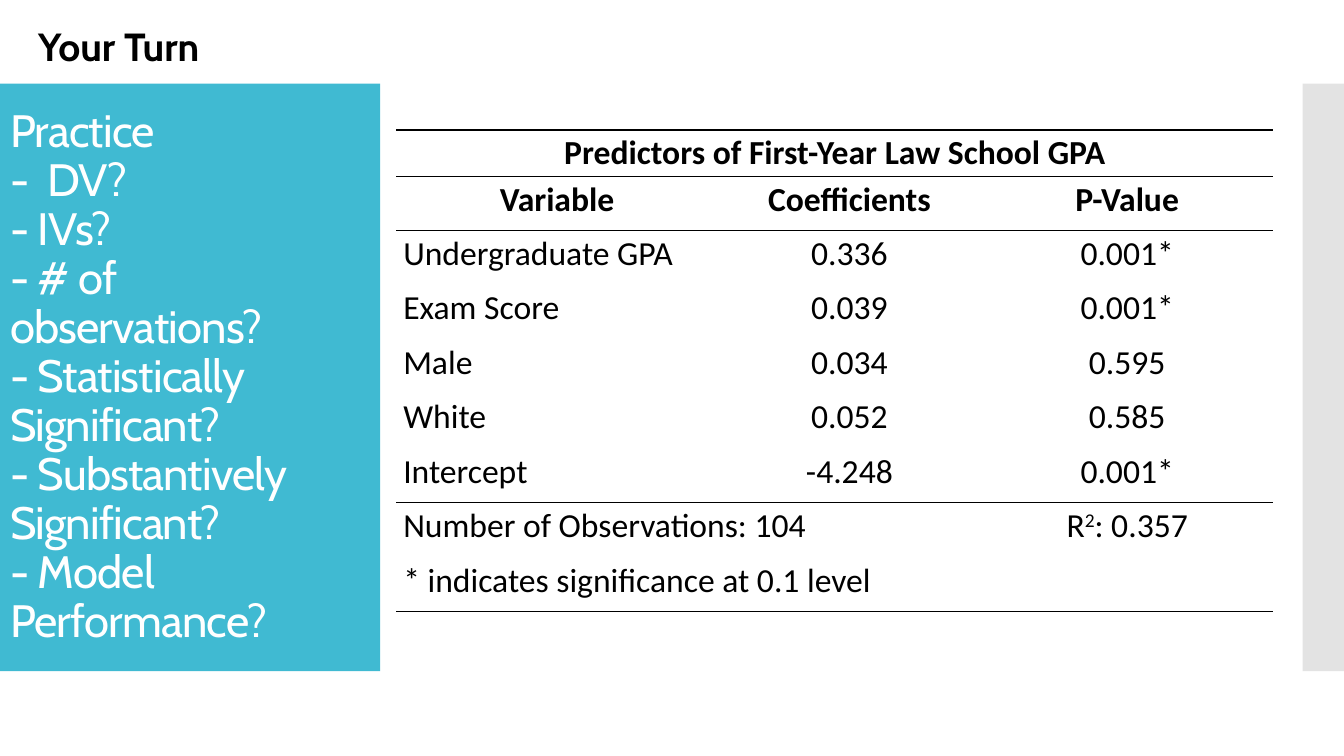
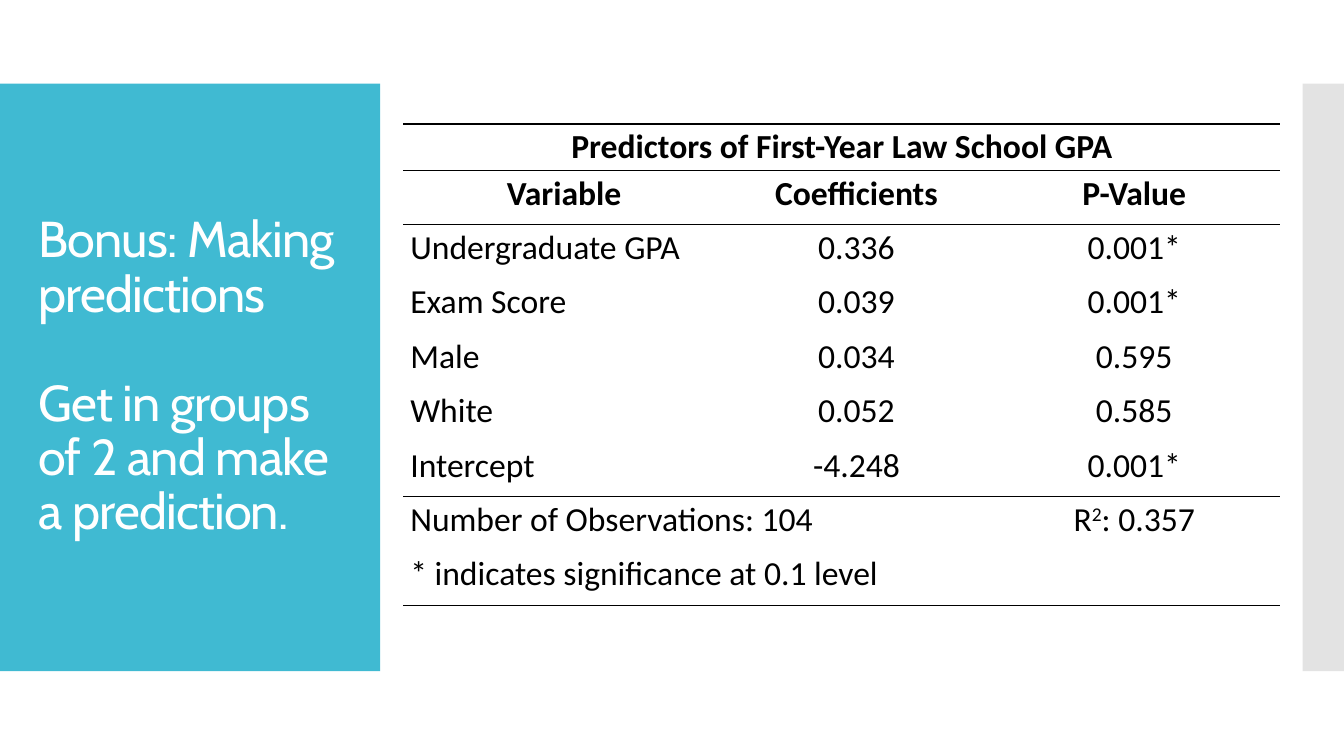
import dataclasses

import lxml.etree
import pptx
import pptx.dml.color
import pptx.enum.shapes
import pptx.enum.text
import pptx.oxml.ns
import pptx.util

Inches, Pt = pptx.util.Inches, pptx.util.Pt
RGB = pptx.dml.color.RGBColor.from_string
ALIGN = pptx.enum.text.PP_ALIGN
qn = pptx.oxml.ns.qn


@dataclasses.dataclass(frozen=True)
class Theme:
    panel: str = "40BAD2"
    edge: str = "C8C8C8"
    light: str = "FFFFFF"
    ink: str = "000000"
    head_font: str = "Cabin"
    table_font: str = "Calibri"
    title_size: float = 36
    list_size: float = 32.4
    label_size: float = 28
    table_size: float = 24
    rule_width: float = 1


COLUMNS = [3.19, 2.61, 2.9]
HEAD_HEIGHT, ROW_HEIGHT = 0.46, 0.54
HEAD_ROWS = 2
RULES = {0, 1, 2, 7, 9}
SPANS = {0: 3, 7: 2, 8: 3}
RESULTS = [
    ["Predictors of First-Year Law School GPA", "", ""],
    ["Variable", "Coefficients", "P-Value"],
    ["Undergraduate GPA", "0.336", "0.001*"],
    ["Exam Score", "0.039", "0.001*"],
    ["Male", "0.034", "0.595"],
    ["White", "0.052", "0.585"],
    ["Intercept", "-4.248", "0.001*"],
    ["Number of Observations: 104", "", ("R", "2", ": 0.357")],
    ["* indicates significance at 0.1 level", "", ""],
]
QUESTIONS = [
    "Practice",
    "-  DV?",
    "- IVs?",
    "- # of observations?",
    "- Statistically Significant?",
    "- Substantively Significant?",
    "- Model Performance?",
]
PANEL_BOX = (0, 0.83, 3.77, 5.83)
EDGE_BOX = (12.92, 0.83, 0.42, 5.83)


def apply(obj, values):
    for name, value in values.items():
        setattr(obj, name, value)


class Deck:
    """Holds the theme and the current slide, and draws each kind of element."""

    def __init__(self, theme):
        self.theme = theme
        self.prs = pptx.Presentation()
        apply(self.prs, {"slide_width": Inches(13.33), "slide_height": Inches(7.5)})
        self.layout = self.prs.slide_layouts[5]
        self.s = None

    def slide(self):
        self.s = self.prs.slides.add_slide(self.layout)
        if len(self.prs.slides) == 1:
            self.band(PANEL_BOX, self.theme.panel)
            self.band(EDGE_BOX, self.theme.edge, alpha=50)

    def band(self, box, color, alpha=100):
        kind = pptx.enum.shapes.MSO_SHAPE.RECTANGLE
        sp = self.s.shapes.add_shape(kind, *map(Inches, box))
        sp.shadow.inherit = False
        sp.line.fill.background()
        sp.fill.solid()
        sp.fill.fore_color.rgb = RGB(color)
        if alpha < 100:
            clr = sp.element.spPr.find(".//" + qn("a:srgbClr"))
            lxml.etree.SubElement(clr, qn("a:alpha")).set("val", str(alpha * 1000))
        self.layout.shapes.element.append(sp.element)

    def run(self, p, text, color, **font):
        r = p.add_run()
        r.text = text
        apply(r.font, font)
        r.font.color.rgb = RGB(color)
        return r

    def title(self, lines, box, size, gaps=()):
        sp = self.s.shapes.title
        apply(sp, dict(zip(("left", "top", "width", "height"), map(Inches, box))))
        tf = sp.text_frame
        apply(tf, {
            "word_wrap": True,
            "auto_size": pptx.enum.text.MSO_AUTO_SIZE.NONE,
            "vertical_anchor": pptx.enum.text.MSO_ANCHOR.MIDDLE,
        })
        for i, line in enumerate(lines):
            p = tf.add_paragraph() if i else tf.paragraphs[0]
            apply(p, {
                "alignment": ALIGN.LEFT,
                "line_spacing": 0.9,
                "space_before": Pt(size * 1.08 if i in gaps else 0),
            })
            r = self.run(p, line, self.theme.light, name=self.theme.head_font, size=Pt(size))
            r.font._element.set("spc", "-60")

    def label(self, text, box):
        tf = self.s.shapes.add_textbox(*map(Inches, box)).text_frame
        tf.word_wrap = False
        self.run(tf.paragraphs[0], text, self.theme.ink, name=self.theme.head_font,
                 size=Pt(self.theme.label_size), bold=True)

    def border(self, cell, side, drawn):
        ln = lxml.etree.SubElement(cell._tc.get_or_add_tcPr(), qn("a:ln" + side))
        if drawn:
            ln.set("w", str(Pt(self.theme.rule_width)))
            fill = lxml.etree.SubElement(ln, qn("a:solidFill"))
            lxml.etree.SubElement(fill, qn("a:srgbClr")).set("val", self.theme.ink)
        else:
            lxml.etree.SubElement(ln, qn("a:noFill"))

    def cell(self, cell, text, row, col):
        sides = {"L": False, "R": False, "T": row in RULES, "B": row + 1 in RULES}
        for side, drawn in sides.items():
            self.border(cell, side, drawn)
        cell.fill.background()
        apply(cell, {
            "margin_left": Inches(0.07), "margin_right": Inches(0.07),
            "margin_top": 0, "margin_bottom": 0,
        })
        if not text:
            return
        p = cell.text_frame.paragraphs[0]
        centred = row < HEAD_ROWS or col > 0
        apply(p, {
            "alignment": ALIGN.CENTER if centred else ALIGN.LEFT,
            "line_spacing": 1.07,
        })
        parts = (text,) if isinstance(text, str) else text
        for i, part in enumerate(parts):
            r = self.run(p, part, self.theme.ink, name=self.theme.table_font,
                         size=Pt(self.theme.table_size), bold=row < HEAD_ROWS)
            if i == 1:
                r.font._element.set("baseline", "30000")

    def table(self, rows, left, top):
        heights = [HEAD_HEIGHT] + [ROW_HEIGHT] * (len(rows) - 1)
        box = (left, top, sum(COLUMNS), sum(heights))
        tbl = self.s.shapes.add_table(len(rows), len(COLUMNS), *map(Inches, box)).table
        apply(tbl, {"first_row": False, "horz_banding": False})
        for column, width in zip(tbl.columns, COLUMNS):
            column.width = Inches(width)
        for i, (height, texts) in enumerate(zip(heights, rows)):
            tbl.rows[i].height = Inches(height)
            for j, text in enumerate(texts):
                self.cell(tbl.cell(i, j), text, i, j)
        for i, span in SPANS.items():
            tbl.cell(i, 0).merge(tbl.cell(i, span - 1))


def main():
    theme = Theme()
    deck = Deck(theme)

    deck.slide()
    deck.title(QUESTIONS, PANEL_BOX, theme.list_size)
    deck.table(RESULTS, 3.93, 1.29)
    deck.label("Your Turn", (0.28, 0.17, 1.81, 0.57))

    deck.slide()
    deck.title(["Bonus: Making predictions", "Get in groups of 2 and make a prediction."],
               (0.28, 1.23, 3.22, 5.03), theme.title_size, gaps={1})
    deck.table(RESULTS, 4, 1.23)

    deck.prs.save("out.pptx")


if __name__ == "__main__":
    main()
